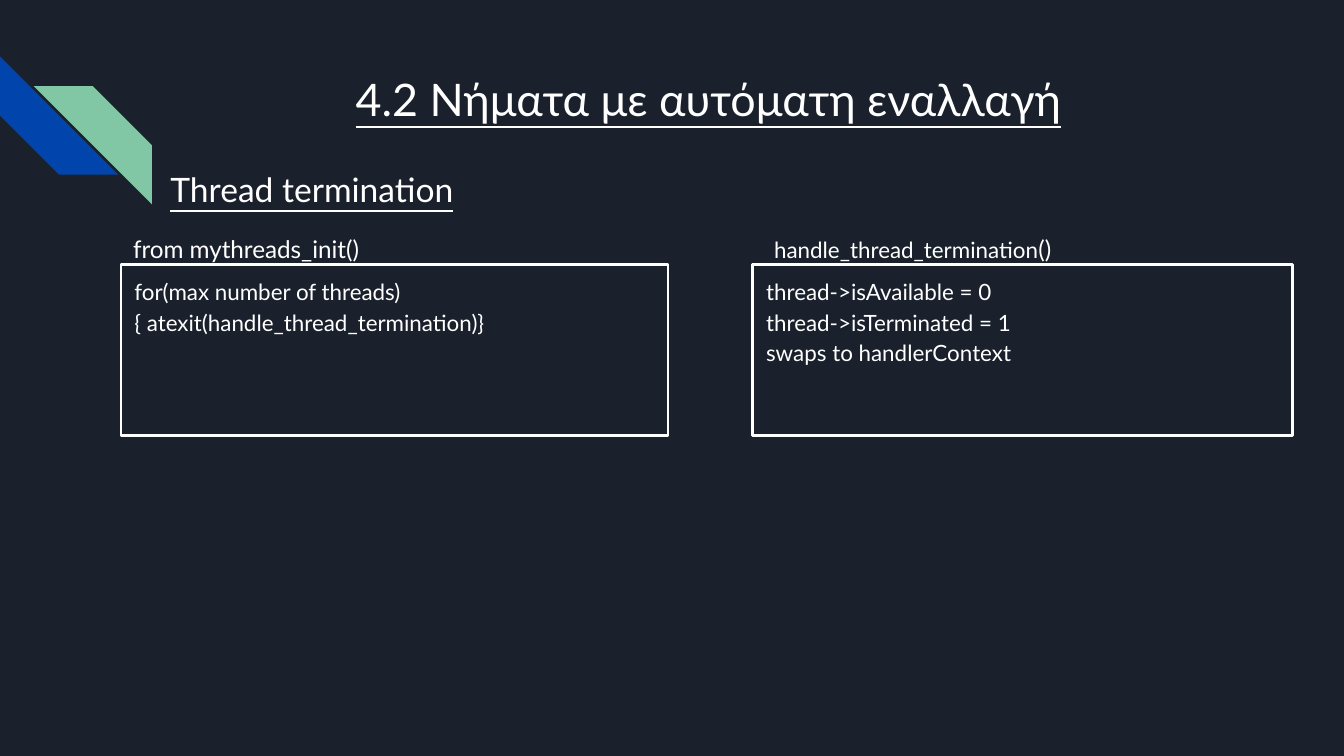
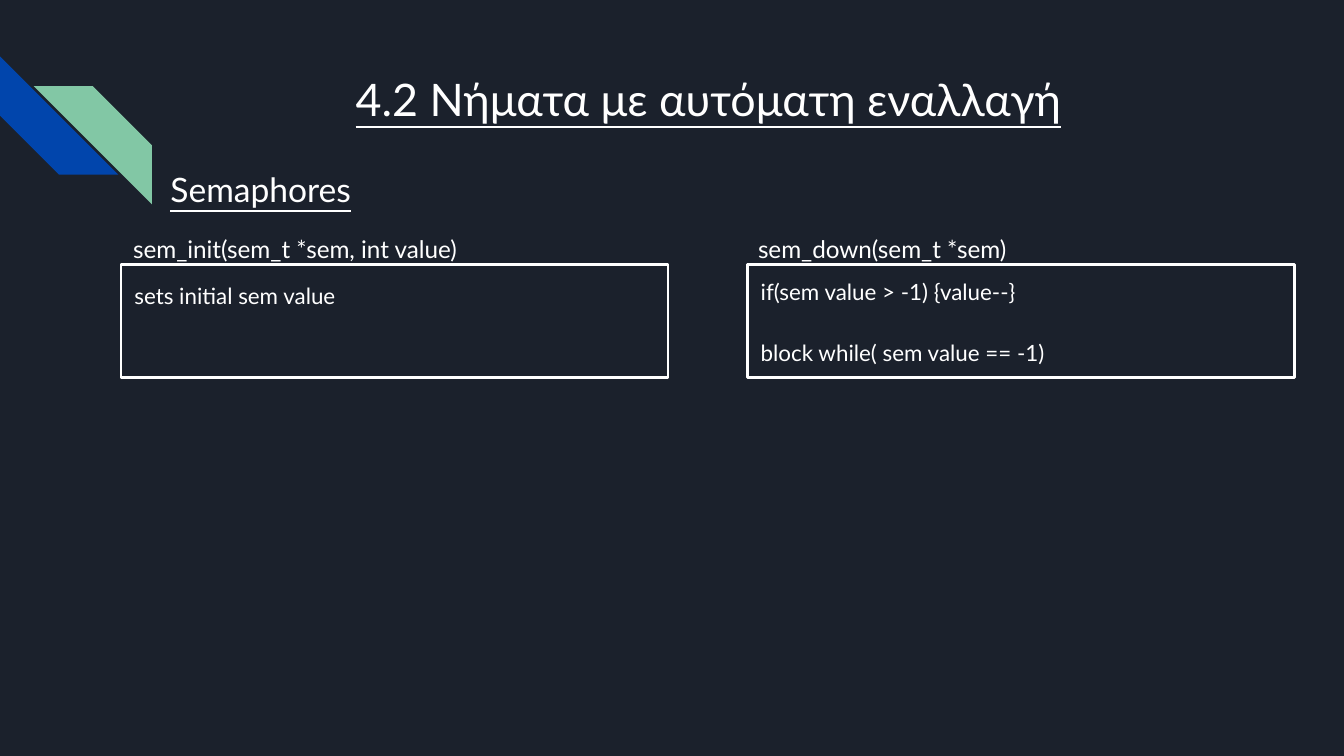
from dataclasses import dataclass

from lxml.etree import SubElement
from pptx import Presentation
from pptx.dml.color import RGBColor
from pptx.enum.shapes import MSO_SHAPE as Preset
from pptx.enum.text import MSO_ANCHOR as Anchor, MSO_AUTO_SIZE as AutoSize, PP_ALIGN as Align
from pptx.oxml.ns import qn
from pptx.util import Pt

PX = 9144  # EMU, 100 px to the inch
SLIDE_WIDTH = 1000 * PX
SLIDE_HEIGHT = SLIDE_WIDTH * 9 // 16
FONT = "Lato"
COLORS = {"night": "1B212C", "blue": "0145AC", "mint": "82C7A5", "white": "FFFFFF"}
TITLE = "4.2 Νήματα με αυτόματη εναλλαγή"
COMPARISON_LAYOUT = 4
INSET = 10
CAPTION_TOP, CODE_TOP = 161, 197
LOOSE = 1.15
LINE_GAP = 2
SKIPPED_LINE = 18.4


@dataclass(frozen=True)
class Box:
    left: int
    top: int
    width: int
    height: int


@dataclass(frozen=True)
class Span:
    text: str
    size: int = 13
    underline: bool = False


@dataclass(frozen=True)
class Line:
    spans: tuple[Span, ...]
    before: float = 0
    spacing: float = 1.0


@dataclass(frozen=True)
class Panel:
    caption: tuple[Span, ...]
    caption_left: int
    caption_width: int
    code: tuple[Line, ...]
    code_left: int
    code_width: int = 407


@dataclass(frozen=True)
class Topic:
    heading: str
    code_height: int
    panels: tuple[Panel, Panel]


@dataclass(frozen=True)
class Stripe:
    box: Box
    color: str
    rotation: int = 0
    mirrored: bool = False


def code(text: str, before: float = LINE_GAP, spacing: float = 1.0) -> Line:
    return Line((Span(text, 12),), before, spacing)


STRIPES = (
    Stripe(Box(0, 42, 88, 88), "blue", rotation=270),
    Stripe(Box(25, 64, 88, 88), "mint", mirrored=True),
)

TOPICS = (
    Topic("Thread termination", 127, (
        Panel((Span("from mythreads_init()"),), 89, 458,
              (code("for(max number of threads)", 0),
               code("{ atexit(handle_thread_termination)}")), 90),
        Panel((Span("handle_thread_termination", 12), Span("()")), 566, 396,
              (code("thread->isAvailable = 0", 0),
               code("thread->isTerminated = 1"),
               code("swaps to handlerContext")), 560, 402),
    )),
    Topic("Semaphores", 84, (
        Panel((Span("sem_init(sem_t *sem, int value)"),), 89, 458,
              (code("sets initial sem value", 0, LOOSE),), 90),
        Panel((Span("sem_down(sem_t *sem)"),), 554, 458,
              (code("if(sem value > -1) {value--}", 0),
               code("block while( sem value == -1)", SKIPPED_LINE)), 556),
    )),
)


def rgb(name: str) -> RGBColor:
    return RGBColor.from_string(COLORS[name])


def place(shape, box: Box) -> None:
    shape.left, shape.top = box.left * PX, box.top * PX
    shape.width, shape.height = box.width * PX, box.height * PX


def write(shape, box: Box, lines: tuple[Line, ...], align=Align.LEFT) -> None:
    """Place a text holder and fill it with unbulleted lines."""
    place(shape, box)
    frame = shape.text_frame
    frame.word_wrap = True
    frame.auto_size = AutoSize.NONE
    frame.vertical_anchor = Anchor.TOP
    frame.margin_left = frame.margin_right = INSET * PX
    frame.margin_top = frame.margin_bottom = INSET * PX
    for number, line in enumerate(lines):
        paragraph = frame.add_paragraph() if number else frame.paragraphs[0]
        paragraph.alignment = align
        paragraph.line_spacing = line.spacing
        paragraph.space_before = Pt(line.before)
        paragraph.space_after = Pt(0)
        properties = paragraph._p.get_or_add_pPr()
        properties.set("marL", "0")
        properties.set("indent", "0")
        SubElement(properties, qn("a:buNone"))
        for span in line.spans:
            run = paragraph.add_run()
            run.text = span.text
            font = run.font
            font.name, font.size, font.bold = FONT, Pt(span.size), False
            font.underline = span.underline
            font.color.rgb = rgb("white")


def add_panel(caption_holder, code_holder, panel: Panel, code_height: int) -> None:
    write(caption_holder, Box(panel.caption_left, CAPTION_TOP, panel.caption_width, 50),
          (Line(panel.caption, spacing=LOOSE),))
    write(code_holder, Box(panel.code_left, CODE_TOP, panel.code_width, code_height), panel.code)
    code_holder.line.color.rgb = rgb("white")
    code_holder.line.width = Pt(1.5)


def add_topic(prs, topic: Topic):
    slide = prs.slides.add_slide(prs.slide_layouts[COMPARISON_LAYOUT])
    title, *holders = slide.placeholders
    write(title, Box(142, 43, 770, 100), (Line((Span(TITLE, 24, True),)),), Align.CENTER)
    for caption, body, panel in zip(holders[::2], holders[1::2], topic.panels):
        add_panel(caption, body, panel, topic.code_height)
    heading = slide.shapes.add_textbox(0, 0, PX, PX)
    write(heading, Box(117, 111, 343, 50),
          (Line((Span(topic.heading, 18, True),), spacing=LOOSE),))
    return slide


def add_master_stripe(slide, master, stripe: Stripe) -> None:
    """Draw a corner stripe and move it to the master, which all slides share."""
    shape = slide.shapes.add_shape(Preset.DIAGONAL_STRIPE, 0, 0, PX, PX)
    place(shape, stripe.box)
    shape.adjustments[0] = 0.5
    shape.rotation = stripe.rotation
    shape.shadow.inherit = False
    shape.fill.solid()
    shape.fill.fore_color.rgb = rgb(stripe.color)
    shape.line.fill.background()
    if stripe.mirrored:
        shape.element.spPr.find(qn("a:xfrm")).set("flipH", "1")
    master.shapes.element.append(shape.element)


def main() -> None:
    prs = Presentation()
    prs.slide_width, prs.slide_height = SLIDE_WIDTH, SLIDE_HEIGHT
    master = prs.slide_master
    master.background.fill.solid()
    master.background.fill.fore_color.rgb = rgb("night")
    slides = [add_topic(prs, topic) for topic in TOPICS]
    for stripe in STRIPES:
        add_master_stripe(slides[0], master, stripe)
    prs.save("out.pptx")


if __name__ == "__main__":
    main()
